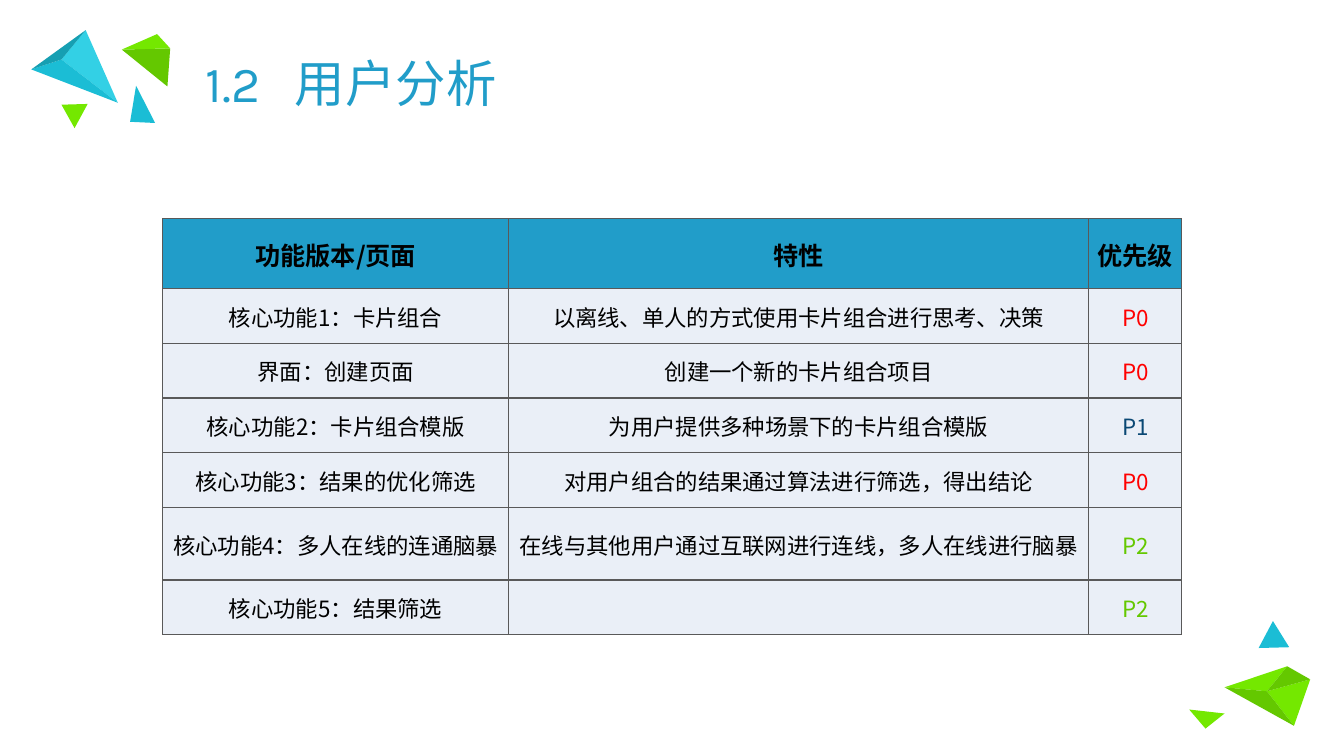
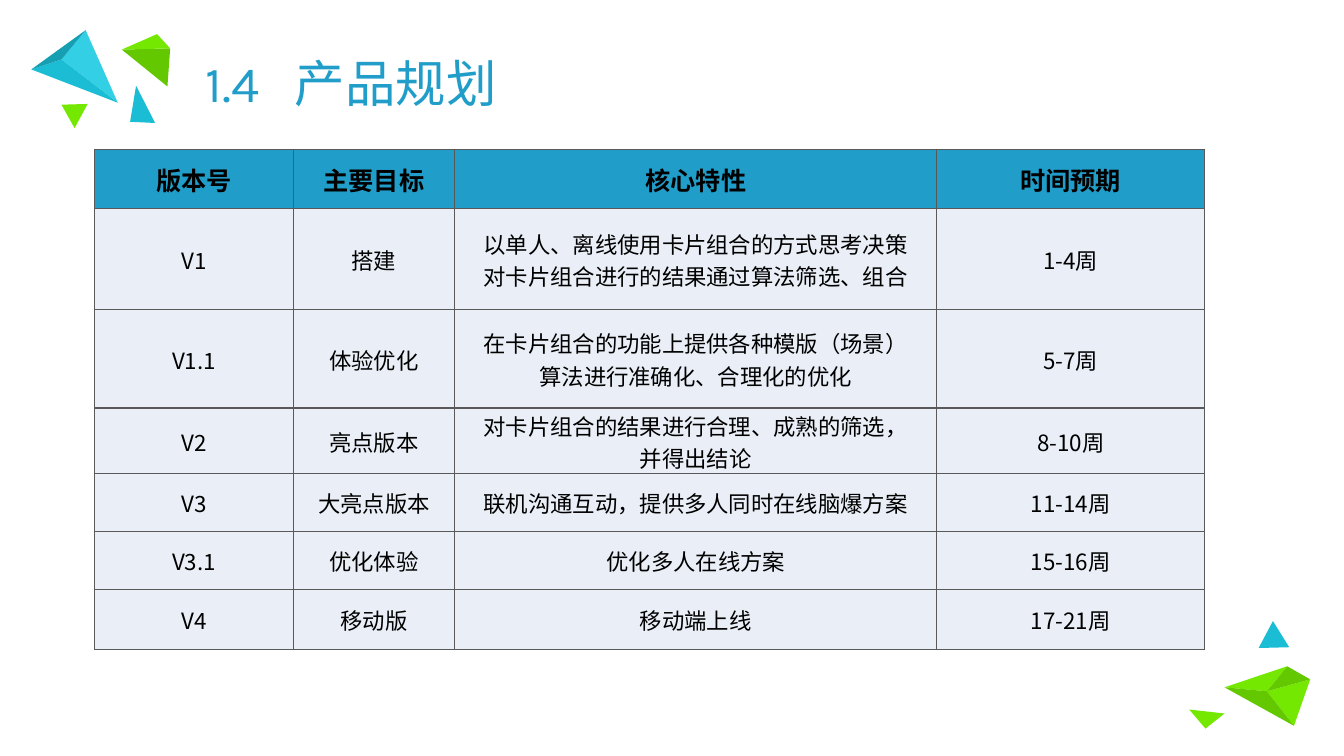
from lxml import etree
from pptx import Presentation
from pptx.dml.color import RGBColor
from pptx.enum.text import MSO_ANCHOR, MSO_AUTO_SIZE, PP_ALIGN
from pptx.oxml.ns import qn
from pptx.util import Cm, Pt

MIDDLE = MSO_ANCHOR.MIDDLE
NO_FIT = MSO_AUTO_SIZE.NONE
LEFT, CENTER = PP_ALIGN.LEFT, PP_ALIGN.CENTER

COLORS = {
    "title": "219DC9", "header": "219DC9", "body": "EAEFF7",
    "border": "595959", "text": "000000",
    "sky": "33D0E5", "cyan": "1BBDD5", "teal": "169FB2",
    "lime": "74E800", "green": "64C800",
}
PRIORITY_COLORS = {"P0": "FF0000", "P1": "0A4874", "P2": "64C800"}
TITLE_FONT, TEXT_FONT = "Karla", "Noto Sans CJK SC"
TITLE_BOX = (4.93, 0.99, 24.03, 2.36)
TITLE_TAB = 2.25

# Corner ornaments: origin in cm, then triangles relative to it
TOP_LEFT = (0.75, 0.75)
TOP_LEFT_TRIANGLES = [
    ("sky", (2.22, 1.84), (1.41, 0.01), (0.8, 0.75)),
    ("cyan", (2.22, 1.84), (0.04, 1), (0.8, 0.75)),
    ("teal", (1.41, 0.01), (0.04, 1), (0.8, 0.75)),
    ("lime", (1.46, 1.87), (1.13, 2.48), (0.8, 1.89)),
    ("green", (3.47, 1.43), (2.32, 0.5), (3.54, 0.47)),
    ("lime", (2.32, 0.5), (3.21, 0.11), (3.54, 0.47)),
    ("cyan", (3.16, 2.35), (2.53, 2.32), (2.68, 1.41)),
]
BOTTOM_RIGHT = (29.75, 15.5)
BOTTOM_RIGHT_TRIANGLES = [
    ("cyan", (2.74, 0.81), (1.97, 0.83), (2.33, 0.15)),
    ("lime", (1.11, 2.48), (0.63, 2.86), (0.22, 2.38)),
    ("lime", (2.86, 2.79), (2.18, 1.92), (3.27, 1.62)),
    ("lime", (2.18, 1.92), (1.11, 1.82), (2.69, 1.29)),
    ("green", (2.69, 1.29), (3.27, 1.62), (2.18, 1.92)),
    ("green", (2.86, 2.79), (1.11, 1.82), (2.18, 1.92)),
]

FEATURES = [
    ("功能版本/页面", "特性", "优先级"),
    ("核心功能1：卡片组合", "以离线、单人的方式使用卡片组合进行思考、决策", "P0"),
    ("界面：创建页面", "创建一个新的卡片组合项目", "P0"),
    ("核心功能2：卡片组合模版", "为用户提供多种场景下的卡片组合模版", "P1"),
    ("核心功能3：结果的优化筛选", "对用户组合的结果通过算法进行筛选，得出结论", "P0"),
    ("核心功能4：多人在线的连通脑暴",
     "在线与其他用户通过互联网进行连线，多人在线进行脑暴", "P2"),
    ("核心功能5：结果筛选", "", "P2"),
]
ROADMAP = [
    ("版本号", "主要目标", "核心特性", "时间预期"),
    ("V1", "搭建",
     "以单人、离线使用卡片组合的方式思考决策\n对卡片组合进行的结果通过算法筛选、组合", "1-4周"),
    ("V1.1", "体验优化",
     "在卡片组合的功能上提供各种模版（场景）\n算法进行准确化、合理化的优化", "5-7周"),
    ("V2", "亮点版本", "对卡片组合的结果进行合理、成熟的筛选，\n并得出结论", "8-10周"),
    ("V3", "大亮点版本", "联机沟通互动，提供多人同时在线脑爆方案", "11-14周"),
    ("V3.1", "优化体验", "优化多人在线方案", "15-16周"),
    ("V4", "移动版", "移动端上线", "17-21周"),
]


def style_font(paragraph, latin, size, color, bold=False):
    font = paragraph.font
    font.name, font.size, font.bold = latin, Pt(size), bold
    font.color.rgb = RGBColor.from_string(color)
    properties = paragraph._p.pPr.find(qn("a:defRPr"))
    etree.SubElement(properties, qn("a:ea"), typeface=TEXT_FONT)


def add_ornament(page, origin, triangles):
    for color, *corners in triangles:
        points = [(Cm(origin[0] + x), Cm(origin[1] + y)) for x, y in corners]
        builder = page.shapes.build_freeform(*points[0])
        builder.add_line_segments(points[1:], close=True)
        triangle = builder.convert_to_shape()
        triangle.shadow.inherit = False
        triangle.fill.solid()
        triangle.fill.fore_color.rgb = RGBColor.from_string(COLORS[color])
        triangle.line.fill.background()


def set_title(page, number, name):
    title = page.shapes.title
    title.left, title.top, title.width, title.height = map(Cm, TITLE_BOX)
    frame = title.text_frame
    frame.text = f"{number}\t{name}"
    frame.vertical_anchor = MIDDLE
    frame.auto_size = NO_FIT
    frame.word_wrap = True
    paragraph = frame.paragraphs[0]
    paragraph.alignment = LEFT
    paragraph.line_spacing = 0.9
    tabs = etree.SubElement(paragraph._p.pPr, qn("a:tabLst"))
    etree.SubElement(tabs, qn("a:tab"), pos=str(Cm(TITLE_TAB)), algn="l")
    style_font(paragraph, TITLE_FONT, 36, COLORS["title"])


def add_borders(cell):
    properties = cell._tc.get_or_add_tcPr()
    for side in ("lnL", "lnR", "lnT", "lnB"):
        line = etree.SubElement(properties, qn(f"a:{side}"), w=str(Pt(1)))
        fill = etree.SubElement(line, qn("a:solidFill"))
        etree.SubElement(fill, qn("a:srgbClr"), val=COLORS["border"])


def fill_cell(cell, text, is_header):
    cell.margin_left = cell.margin_right = cell.margin_top = Cm(0.03)
    cell.margin_bottom = 0
    cell.vertical_anchor = MIDDLE
    add_borders(cell)
    cell.fill.solid()
    fill_color = COLORS["header" if is_header else "body"]
    cell.fill.fore_color.rgb = RGBColor.from_string(fill_color)
    cell.text = text
    color = PRIORITY_COLORS.get(text, COLORS["text"])
    for paragraph in cell.text_frame.paragraphs:
        paragraph.alignment = CENTER
        style_font(paragraph, TEXT_FONT, 18 if is_header else 16, color, is_header)


def add_grid(page, corner, widths, heights, rows):
    left, top = corner
    table = page.shapes.add_table(
        len(heights), len(widths), Cm(left), Cm(top),
        Cm(sum(widths)), Cm(sum(heights))).table
    for column, width in zip(table.columns, widths):
        column.width = Cm(width)
    for index, (row, height, texts) in enumerate(zip(table.rows, heights, rows)):
        row.height = Cm(height)
        for cell, text in zip(row.cells, texts):
            fill_cell(cell, text, index == 0)


def add_table_page(deck, number, name, corner, widths, heights, rows):
    page = deck.slides.add_slide(deck.slide_layouts[5])
    add_ornament(page, TOP_LEFT, TOP_LEFT_TRIANGLES)
    add_ornament(page, BOTTOM_RIGHT, BOTTOM_RIGHT_TRIANGLES)
    set_title(page, number, name)
    add_grid(page, corner, widths, heights, rows)


def main():
    deck = Presentation()
    deck.slide_width, deck.slide_height = Cm(33.87), Cm(19.05)
    # User analysis
    add_table_page(deck, "1.2", "用户分析", (4.1, 5.51), (8.72, 14.62, 2.34),
                   (1.76, 1.38, 1.38, 1.38, 1.38, 1.83, 1.38), FEATURES)
    # Product roadmap
    add_table_page(deck, "1.4", "产品规划", (2.39, 3.76), (5, 4.07, 12.15, 6.75),
                   (1.5, 2.54, 2.48, 1.64, 1.45, 1.47, 1.5), ROADMAP)
    deck.save("out.pptx")


if __name__ == "__main__":
    main()
